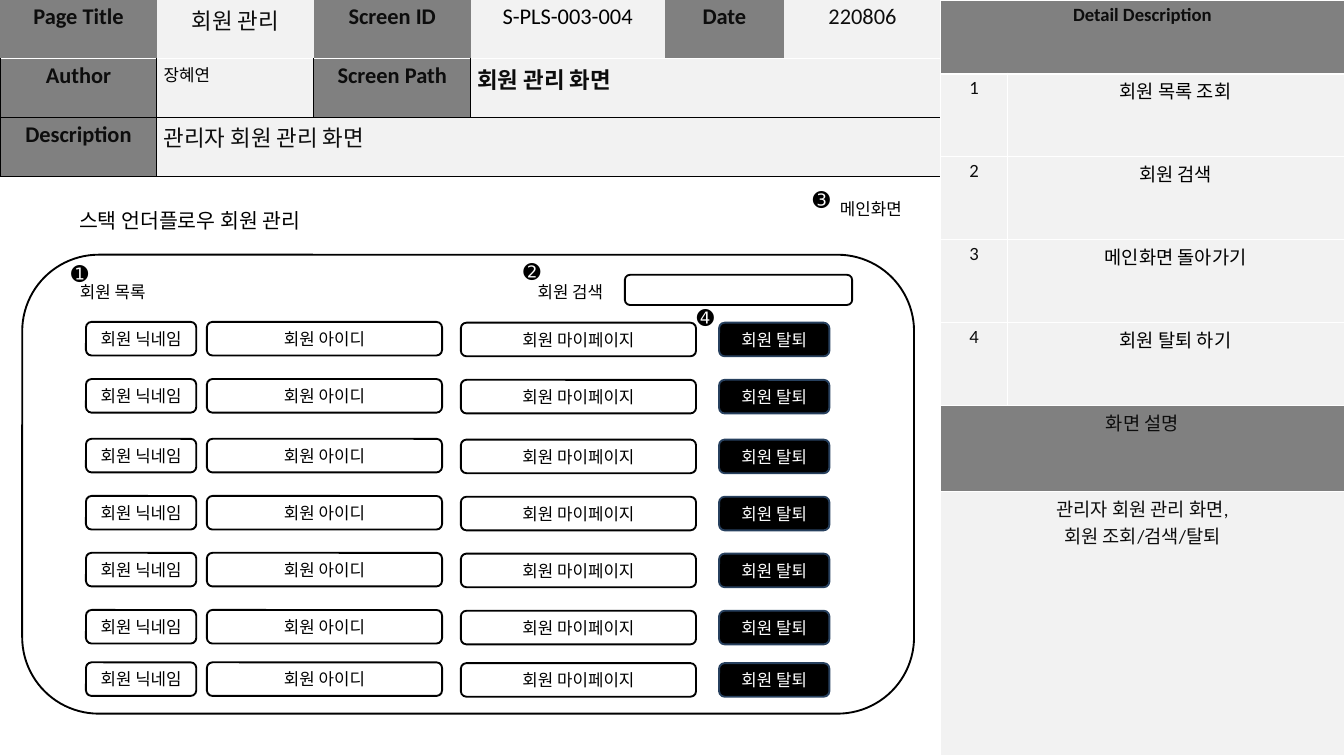
import pptx
import pptx.enum.shapes
import pptx.enum.text
import pptx.oxml
import pptx.oxml.ns
import pptx.util
from pptx.util import Cm, Pt

COLORS = {
    "header": "808080", "cell": "F2F2F2", "ink": "0D0D0D",
    "black": "000000", "white": "FFFFFF", "navy": "27405E",
}
LATIN, ARIAL, KOREAN = "Calibri", "Arial", "Noto Sans CJK KR"
SHAPE = pptx.enum.shapes.MSO_SHAPE
ALIGN = pptx.enum.text.PP_ALIGN


def rgb(name):
    return pptx.dml.color.RGBColor.from_string(COLORS[name])


def write(tf, text, size=18, font=LATIN, color="black", bold=False, align=ALIGN.LEFT):
    """Fill a text frame, one paragraph per line of text."""
    for i, line in enumerate(text.split("\n")):
        p = tf.paragraphs[0] if i == 0 else tf.add_paragraph()
        p.alignment = align
        r = p.add_run()
        r.text = line
        r.font.size = Pt(size)
        r.font.name = font
        r.font.bold = bold
        r.font.color.rgb = rgb(color)


def set_borders(cell, borders):
    """Draw borders given as {side: (color, points)}; None hides a side."""
    tc_pr = cell._tc.get_or_add_tcPr()
    for side in "LRTB":
        border = borders.get(side)
        if border:
            color, points = border
            width = Pt(points)
            fill = f'<a:solidFill><a:srgbClr val="{COLORS[color]}"/></a:solidFill>'
        else:
            width, fill = 0, "<a:noFill/>"
        tc_pr.append(pptx.oxml.parse_xml(
            f'<a:ln{side} {pptx.oxml.ns.nsdecls("a")} w="{width}">{fill}</a:ln{side}>'))


class Wireframe:
    """Holds the slide and the shared line style."""
    line_width = 2

    def __init__(self, slide):
        self.slide = slide

    def label(self, x, y, w, h, text, wrap=True, **fmt):
        sp = self.slide.shapes.add_textbox(Cm(x), Cm(y), Cm(w), Cm(h))
        tf = sp.text_frame
        tf.word_wrap = wrap
        tf.auto_size = pptx.enum.text.MSO_AUTO_SIZE.SHAPE_TO_FIT_TEXT
        write(tf, text, **fmt)

    def badge(self, x, y, text):
        self.label(x, y, 1.07, 1.17, text, size=22)

    def box(self, x, y, w, h, text="", kind=SHAPE.FLOWCHART_ALTERNATE_PROCESS,
            fill=None, line="black", parent=None, **fmt):
        shapes = (parent or self.slide).shapes
        sp = shapes.add_shape(kind, Cm(x), Cm(y), Cm(w), Cm(h))
        sp.shadow.inherit = False
        if fill:
            sp.fill.solid()
            sp.fill.fore_color.rgb = rgb(fill)
        else:
            sp.fill.background()
        sp.line.color.rgb = rgb(line)
        sp.line.width = Pt(self.line_width)
        if text:
            sp.text_frame.word_wrap = True
            sp.text_frame.vertical_anchor = pptx.enum.text.MSO_ANCHOR.MIDDLE
            write(sp.text_frame, text, align=ALIGN.CENTER, **fmt)

    def table(self, x, y, widths, heights, rows, borders):
        """Cells are (text, fill, format); None extends the cell on its left."""
        frame = self.slide.shapes.add_table(
            len(heights), len(widths), Cm(x), Cm(y), Cm(sum(widths)), Cm(sum(heights)))
        tbl = frame.table
        tbl.first_row = tbl.horz_banding = False
        for col, width in zip(tbl.columns, widths):
            col.width = Cm(width)
        for row, height in zip(tbl.rows, heights):
            row.height = Cm(height)
        for i, row in enumerate(rows):
            start = 0
            for j, content in enumerate(row):
                cell = tbl.cell(i, j)
                set_borders(cell, borders(i))
                if content:
                    start = j
                    text, fill, fmt = content
                    write(cell.text_frame, text, **fmt)
                cell.fill.solid()
                cell.fill.fore_color.rgb = rgb(fill)
                if not content and (j + 1 == len(row) or row[j + 1]):
                    tbl.cell(i, start).merge(cell)


def head(text, size=24, bold=True):
    return text, "header", dict(size=size, color="ink", bold=bold, align=ALIGN.CENTER)


def body(text, size=24, color="ink", align=ALIGN.CENTER, **fmt):
    return text, "cell", dict(size=size, color=color, align=align, **fmt)


def info_borders(row):
    thin_white = ("white", 0.96)
    if row == 0:
        return {"B": thin_white}
    black = ("black", 1)
    return {"L": black, "R": black, "B": black, "T": thin_white if row == 1 else black}


def detail_borders(row):
    sides = dict.fromkeys("LRTB", ("white", 0.96))
    if row < 2:
        sides["BT"[row]] = ("white", 3)
    return sides


def add_tables(wf):
    left = ALIGN.LEFT
    wf.table(0, 0, [5.93, 5.93, 5.93, 7.33, 4.52, 5.92], [2.22] * 3, [
        [head("Page Title"), body("회원 관리"), head("Screen ID"),
         body("S-PLS-003-004", color="black"), head("Date"), body("220806")],
        [head("Author"), body("장혜연", 18, "black", left, font=ARIAL),
         head("Screen Path"), body("회원 관리 화면", align=left, bold=True), None, None],
        [head("Description"), body("관리자 회원 관리 화면", align=left)] + [None] * 4,
    ], info_borders)

    features = ["회원 목록 조회", "회원 검색", "메인화면 돌아가기", "회원 탈퇴 하기"]
    wf.table(35.56, 0, [2.51, 12.73], [2.79] + [3.13] * 4 + [3.28, 9.98], [
        [head("Detail Description", 20), None],
        *[[body(str(n), 20), body(text, 20, "black", font=KOREAN)]
          for n, text in enumerate(features, 1)],
        [head("화면 설명", 20, False), None],
        [body("관리자 회원 관리 화면,\n회원 조회/검색/탈퇴", 20), None],
    ], detail_borders)


def add_member_list(wf):
    columns = [
        (3.25, 0, 4.17, "회원 닉네임", {}),
        (7.82, 0, 8.89, "회원 아이디", {}),
        (17.42, 0.03, 8.89, "회원 마이페이지", {}),
        (27.18, 0.03, 4.17, "회원 탈퇴",
         dict(fill="black", line="navy", color="white", font=KOREAN)),
    ]
    for top in (12.17, 14.33, 16.59, 18.75, 20.9, 23.06, 25.04):
        group = wf.slide.shapes.add_group_shape()
        for x, drop, width, text, style in columns:
            wf.box(x, top + drop, width, 1.27, text, parent=group, **style)


def main():
    prs = pptx.Presentation()
    prs.slide_width, prs.slide_height = Cm(50.8), Cm(28.58)
    wf = Wireframe(prs.slides.add_slide(prs.slide_layouts[6]))

    add_tables(wf)
    wf.label(2.74, 7.72, 9.91, 1.19, "스택 언더플로우 회원 관리", size=22)
    wf.box(0.84, 9.63, 33.71, 17.35)
    wf.label(2.77, 10.52, 3.23, 1.02, "회원 목록", wrap=False)
    wf.label(31.5, 7.37, 3.05, 1.02, "메인화면", wrap=False)
    wf.box(23.62, 10.39, 8.59, 1.14, kind=SHAPE.ROUNDED_RECTANGLE)
    wf.label(20.07, 10.52, 3.61, 1.02, "회원 검색", font=ARIAL)
    add_member_list(wf)
    for x, y, mark in [(2.44, 9.75, "➊"), (19.53, 9.68, "➋"),
                       (30.48, 6.93, "➌"), (26.09, 11.4, "➍")]:
        wf.badge(x, y, mark)

    prs.save("out.pptx")


if __name__ == "__main__":
    main()
